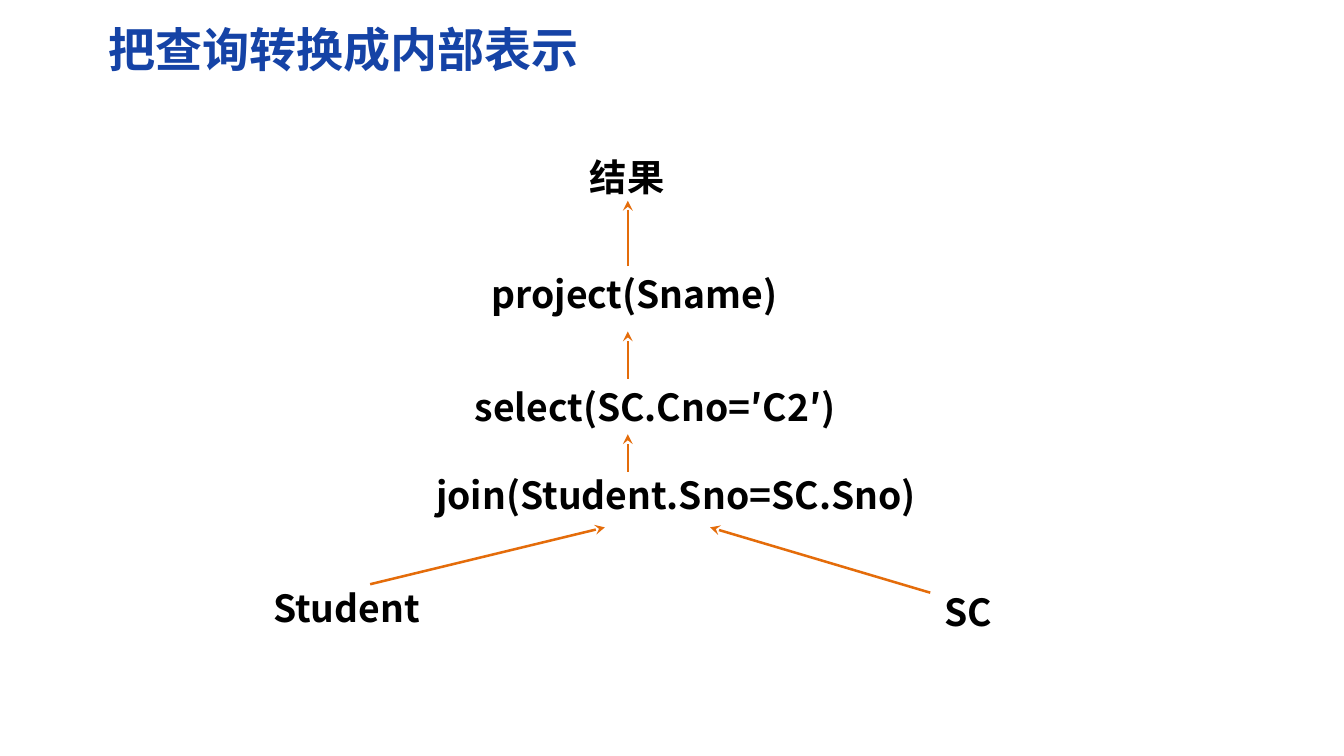
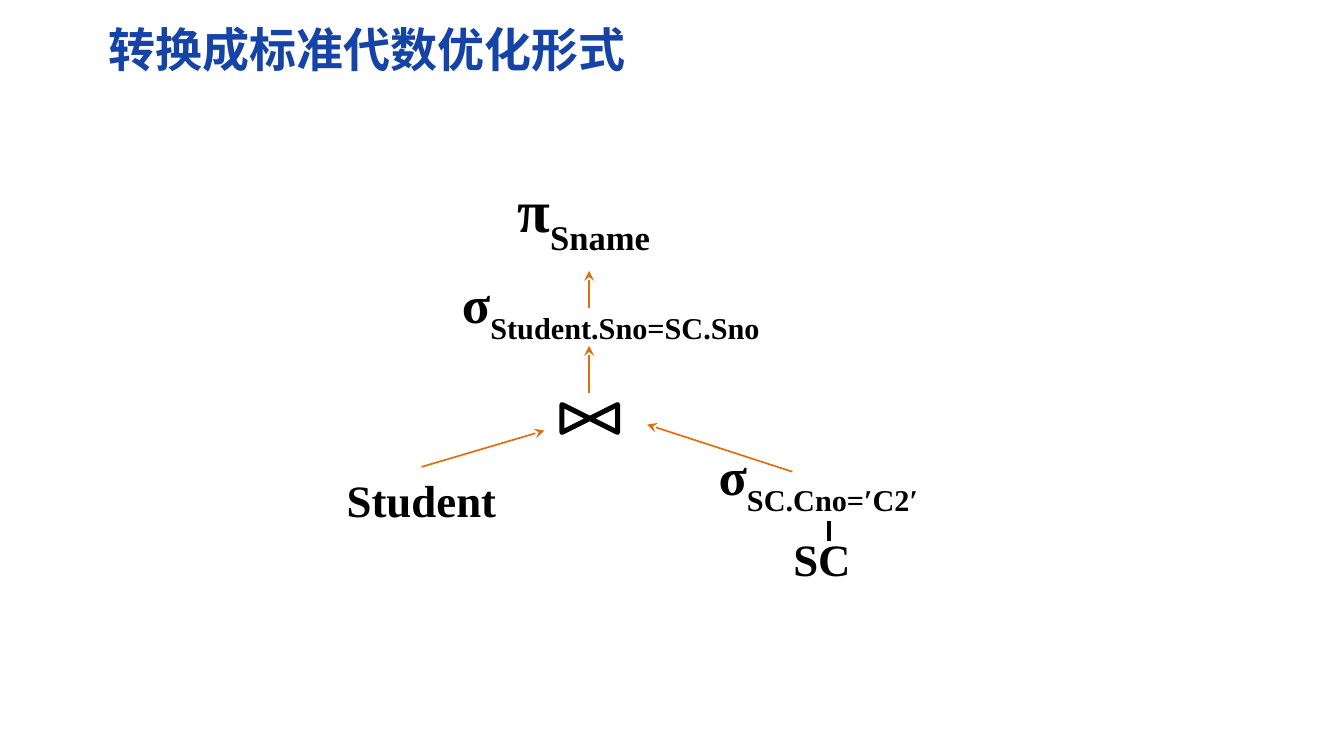
from dataclasses import dataclass

import pptx
import pptx.dml.color
import pptx.enum.shapes
import pptx.enum.text
import pptx.oxml.ns
import pptx.presentation
import pptx.shapes.autoshape
import pptx.slide
import pptx.text.text
import pptx.util
from lxml import etree
from pptx.util import Inches

TITLE_BLUE = pptx.dml.color.RGBColor(0x15, 0x43, 0xA6)
ARROW_ORANGE = pptx.dml.color.RGBColor(0xE4, 0x6C, 0x0A)
BLACK = pptx.dml.color.RGBColor(0, 0, 0)
SANS = "Noto Sans CJK SC"
SERIF = "Times New Roman"
TITLE_ONLY = 5
MIDDLE = pptx.enum.text.MSO_ANCHOR.MIDDLE
TOP_SIDE = 0

Point = tuple[float, float]


@dataclass(frozen=True)
class Operator:
    text: str
    left: float
    top: float
    width: float
    height: float
    size: float
    font: str = SANS
    subscript: str = ""


@dataclass(frozen=True)
class Edge:
    start: Point
    end: Point
    width: float
    color: pptx.dml.color.RGBColor = ARROW_ORANGE
    arrow: bool = True
    source: str = ""


@dataclass(frozen=True)
class QueryTree:
    title: str
    operators: list[Operator]
    edges: list[Edge]


INTERNAL_FORM = QueryTree(
    "把查询转换成内部表示",
    [
        Operator("结果", 4.35, 1.19, 1.67, 0.54, 22.2),
        Operator("project(Sname)", 3.95, 2.2, 2.59, 0.46, 22.2),
        Operator("select(SC.Cno=′C2′)", 3.84, 3.05, 3.15, 0.62, 22.2),
        Operator("join(Student.Sno=SC.Sno)", 3.69, 3.82, 3.8, 0.54, 22.2),
        Operator("Student", 2.31, 4.75, 1.11, 0.54, 22.2),
        Operator("SC", 7.31, 4.75, 1.39, 0.62, 22.2),
    ],
    [
        Edge((5.19, 2.2), (5.19, 1.66), 1.5),
        Edge((5.19, 3.13), (5.19, 2.74), 1.5),
        Edge((5.19, 3.9), (5.19, 3.59), 1.5),
        Edge((3.06, 4.83), (5, 4.36), 1.5),
        Edge((7.69, 4.9), (5.87, 4.36), 1.5),
    ],
)

ALGEBRA_FORM = QueryTree(
    "转换成标准代数优化形式",
    [
        Operator("π", 3.99, 1.55, 1.67, 0.46, 35.6, SERIF, "Sname"),
        Operator("σ", 3.57, 2.32, 2.96, 0.46, 31.1, SERIF, "Student.Sno=SC.Sno"),
        Operator("σ", 5.19, 3.7, 3.15, 0.54, 31.1, SERIF, "SC.Cno=′C2′"),
        Operator("Student", 2.93, 3.86, 1.11, 0.54, 26.7, SERIF),
        Operator("SC", 6.1, 4.31, 1.39, 0.62, 26.7, SERIF),
    ],
    [
        Edge((4.87, 2.55), (4.87, 2.24), 1),
        Edge((4.87, 3.25), (4.87, 2.86), 1),
        Edge((3.48, 3.86), (4.5, 3.56), 1, source="Student"),
        Edge((6.55, 3.9), (5.35, 3.51), 1),
        Edge((6.85, 4.47), (6.85, 4.31), 2.25, BLACK, arrow=False),
    ],
)


def format_run(
    run: pptx.text.text._Run, font: str, size: float, color: pptx.dml.color.RGBColor
) -> None:
    run.font.size = pptx.util.Pt(size)
    run.font.bold = True
    run.font.color.rgb = color
    run.font.name = font
    east_asian = etree.SubElement(run._r.get_or_add_rPr(), pptx.oxml.ns.qn("a:ea"))
    east_asian.set("typeface", font)


def set_frame(frame: pptx.text.text.TextFrame, wrap: bool) -> None:
    frame.word_wrap = wrap
    frame.auto_size = pptx.enum.text.MSO_AUTO_SIZE.NONE
    frame.vertical_anchor = MIDDLE
    frame.margin_left = frame.margin_right = Inches(0.11)
    frame.margin_top = frame.margin_bottom = Inches(0.06)


def add_titled_slide(
    deck: pptx.presentation.Presentation, title: str
) -> pptx.slide.Slide:
    slide = deck.slides.add_slide(deck.slide_layouts[TITLE_ONLY])
    heading = slide.shapes.title
    heading.left, heading.top = Inches(0.79), Inches(0.12)
    heading.width, heading.height = Inches(9.81), Inches(0.57)
    set_frame(heading.text_frame, True)
    heading.text_frame.text = title
    paragraph = heading.text_frame.paragraphs[0]
    paragraph.alignment = pptx.enum.text.PP_ALIGN.LEFT
    format_run(paragraph.runs[0], SANS, 28, TITLE_BLUE)
    return slide


def add_operator(
    slide: pptx.slide.Slide, operator: Operator
) -> pptx.shapes.autoshape.Shape:
    label = slide.shapes.add_textbox(
        Inches(operator.left),
        Inches(operator.top),
        Inches(operator.width),
        Inches(operator.height),
    )
    set_frame(label.text_frame, False)
    label.text_frame.text = operator.text
    paragraph = label.text_frame.paragraphs[0]
    paragraph.alignment = pptx.enum.text.PP_ALIGN.CENTER
    if operator.subscript:
        condition = paragraph.add_run()
        condition.text = operator.subscript
        condition._r.get_or_add_rPr().set("baseline", "-30000")
    for run in paragraph.runs:
        format_run(run, operator.font, operator.size, BLACK)
    return label


def add_edge(
    slide: pptx.slide.Slide,
    edge: Edge,
    labels: dict[str, pptx.shapes.autoshape.Shape],
) -> None:
    link = slide.shapes.add_connector(
        pptx.enum.shapes.MSO_CONNECTOR.STRAIGHT,
        *(Inches(value) for value in edge.start + edge.end),
    )
    if edge.source:
        link.begin_connect(labels[edge.source], TOP_SIDE)
    link.line.color.rgb = edge.color
    link.line.width = pptx.util.Pt(edge.width)
    if edge.arrow:
        outline = link.line._get_or_add_ln()
        etree.SubElement(outline, pptx.oxml.ns.qn("a:tailEnd")).set("type", "stealth")
    etree.SubElement(link._element.spPr, pptx.oxml.ns.qn("a:effectLst"))


def add_query_tree(
    deck: pptx.presentation.Presentation, tree: QueryTree
) -> pptx.slide.Slide:
    slide = add_titled_slide(deck, tree.title)
    labels = {
        operator.text: add_operator(slide, operator) for operator in tree.operators
    }
    for edge in tree.edges:
        add_edge(slide, edge, labels)
    return slide


def add_join_symbol(slide: pptx.slide.Slide) -> None:
    bowtie = slide.shapes.add_shape(
        pptx.enum.shapes.MSO_SHAPE.FLOWCHART_COLLATE,
        Inches(4.76),
        Inches(3.23),
        Inches(0.23),
        Inches(0.46),
    )
    bowtie.rotation = 90
    bowtie.shadow.inherit = False
    bowtie.fill.background()
    bowtie.line.color.rgb = BLACK
    bowtie.line.width = pptx.util.Pt(3)


def main() -> None:
    deck = pptx.Presentation()
    deck.slide_width, deck.slide_height = Inches(11.11), Inches(6.25)
    add_query_tree(deck, INTERNAL_FORM)
    add_join_symbol(add_query_tree(deck, ALGEBRA_FORM))
    deck.save("out.pptx")


if __name__ == "__main__":
    main()
